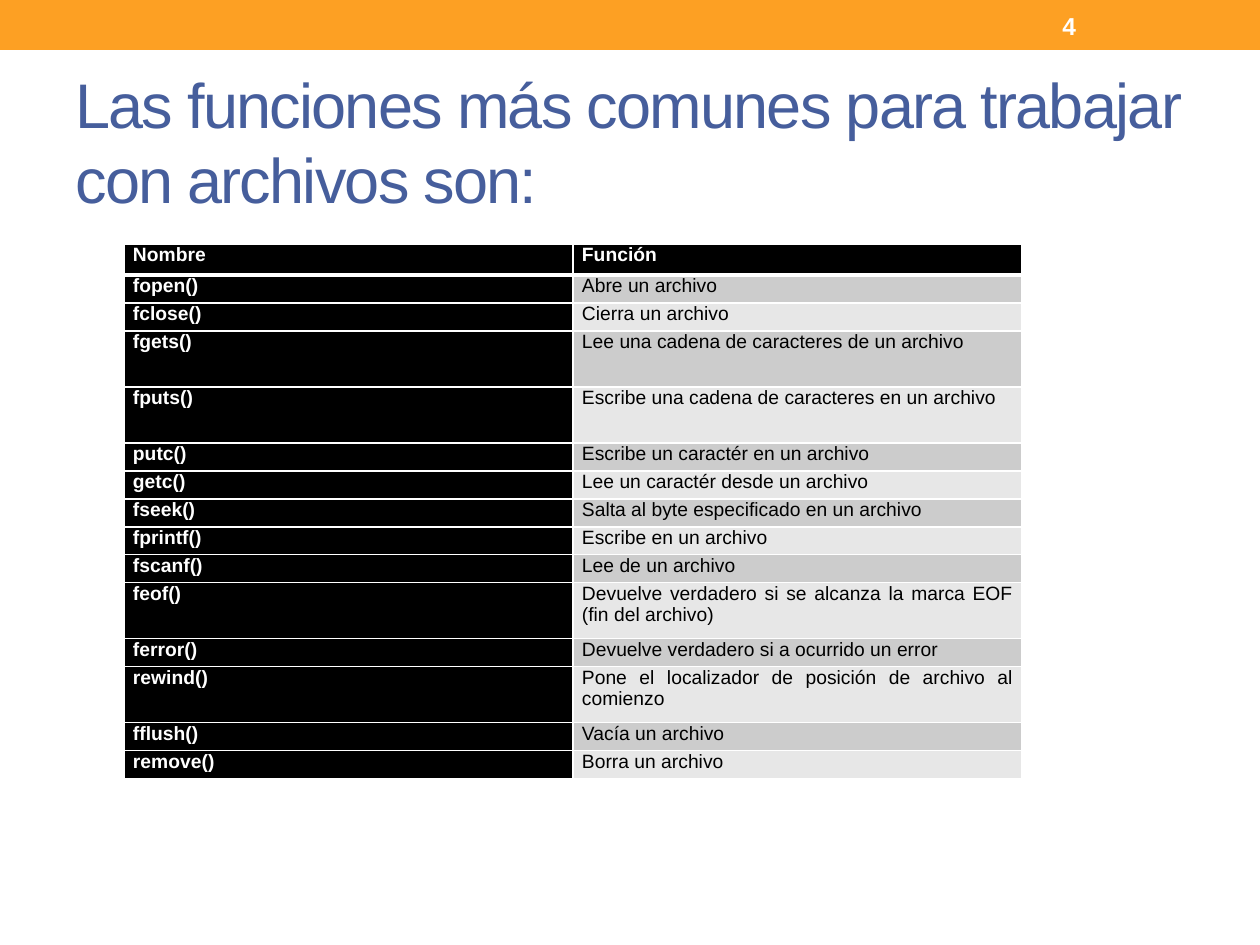
from lxml.etree import SubElement
from pptx import Presentation
from pptx.dml.color import RGBColor
from pptx.enum.shapes import MSO_SHAPE
from pptx.enum.text import MSO_ANCHOR, PP_ALIGN
from pptx.oxml.ns import qn
from pptx.util import Pt

SCALE = 914400 // 126
ROWS = [
    ("Nombre", "Función", 31),
    ("fopen()", "Abre un archivo", 28),
    ("fclose()", "Cierra un archivo", 28),
    ("fgets()", "Lee una cadena de caracteres de un archivo", 56),
    ("fputs()", "Escribe una cadena de caracteres en un archivo", 56),
    ("putc()", "Escribe un caractér en un archivo", 28),
    ("getc()", "Lee un caractér desde un archivo", 28),
    ("fseek()", "Salta al byte especificado en un archivo", 28),
    ("fprintf()", "Escribe en un archivo", 28),
    ("fscanf()", "Lee de un archivo", 28),
    ("feof()", "Devuelve verdadero si se alcanza la marca EOF (fin del archivo)", 56),
    ("ferror()", "Devuelve verdadero si a ocurrido un error", 28),
    ("rewind()", "Pone el localizador de posición de archivo al comienzo", 56),
    ("fflush()", "Vacía un archivo", 28),
    ("remove()", "Borra un archivo", 28),
]


def px(n):
    """Turn pixels into EMU."""
    return n * SCALE


def paint(fmt, tint):
    """Give a fill one solid colour."""
    fmt.solid()
    fmt.fore_color.rgb = RGBColor.from_string(tint)


def style(para, size, tint, bold=False):
    """Set the font of a paragraph."""
    font = para.font
    font.name, font.size, font.bold = "Arial", Pt(size), bold
    font.color.rgb = RGBColor.from_string(tint)


def label(slide, box, text, size, tint, bold=False):
    """Add a wrapped, vertically centred text and return its paragraph."""
    frame = slide.shapes.add_textbox(*map(px, box)).text_frame
    frame.word_wrap = True
    frame.vertical_anchor = MSO_ANCHOR.MIDDLE
    frame.margin_right = px(6)
    para = frame.paragraphs[0]
    para.text = text
    style(para, size, tint, bold)
    return para


def banner(slide, box):
    """Draw the top band with the page number."""
    left, top, width, height = box
    band = slide.shapes.add_shape(MSO_SHAPE.RECTANGLE, *map(px, box))
    band.shadow.inherit = False
    paint(band.fill, "FDA023")
    band.line.fill.background()
    label(slide, (left + 1050, top + 3, 147, height - 5), "4", 14, "FFFFFF", True)


def title(slide, box):
    """Place the heading with tightened letters."""
    text = "Las funciones más comunes para trabajar con archivos son:"
    para = label(slide, box, text, 36, "465E9C")
    para.runs[0].font._element.set("spc", "-100")


def edge(cell, **widths):
    """Draw white cell borders with widths in points."""
    props = cell._tc.get_or_add_tcPr()
    for side, width in widths.items():
        line = SubElement(props, qn("a:ln" + side), w=str(Pt(width)))
        fill = SubElement(line, qn("a:solidFill"))
        SubElement(fill, qn("a:srgbClr"), val="FFFFFF")


def grid(slide, box):
    """Build the table of functions."""
    table = slide.shapes.add_table(len(ROWS), 2, *map(px, box)).table
    for col in table.columns:
        col.width = px(box[2] // 2)
    for i, (*texts, height) in enumerate(ROWS):
        table.rows[i].height = px(height)
        for j, text in enumerate(texts):
            dark = i == 0 or j == 0
            cell = table.cell(i, j)
            cell.margin_left = cell.margin_right = px(9)
            cell.margin_top = cell.margin_bottom = 0
            edge(cell, L=1, R=1, T=3 if i == 1 else 1, B=3 if i == 0 else 1)
            paint(cell.fill, "000000" if dark else "CCCCCC" if i % 2 else "E7E7E7")
            para = cell.text_frame.paragraphs[0]
            para.text = text
            para.alignment = PP_ALIGN.JUSTIFY
            style(para, 11, "FFFFFF" if dark else "000000", dark)


def main():
    """Build and save the slide."""
    deck = Presentation()
    deck.slide_width, deck.slide_height = px(1260), px(945)
    slide = deck.slides.add_slide(deck.slide_layouts[6])
    banner(slide, (0, 0, 1260, 50))
    title(slide, (63, 73, 1134, 136))
    grid(slide, (124, 244, 898, sum(row[2] for row in ROWS)))
    deck.save("out.pptx")


main()
